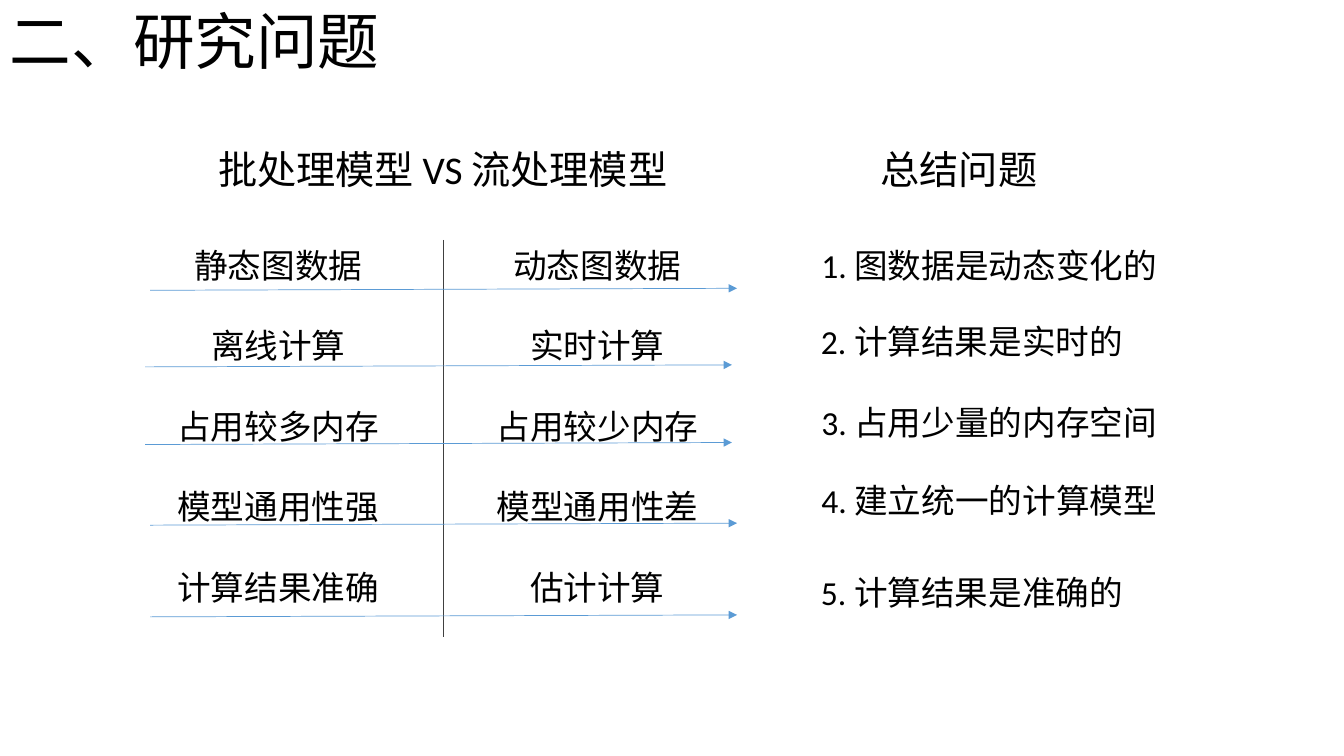
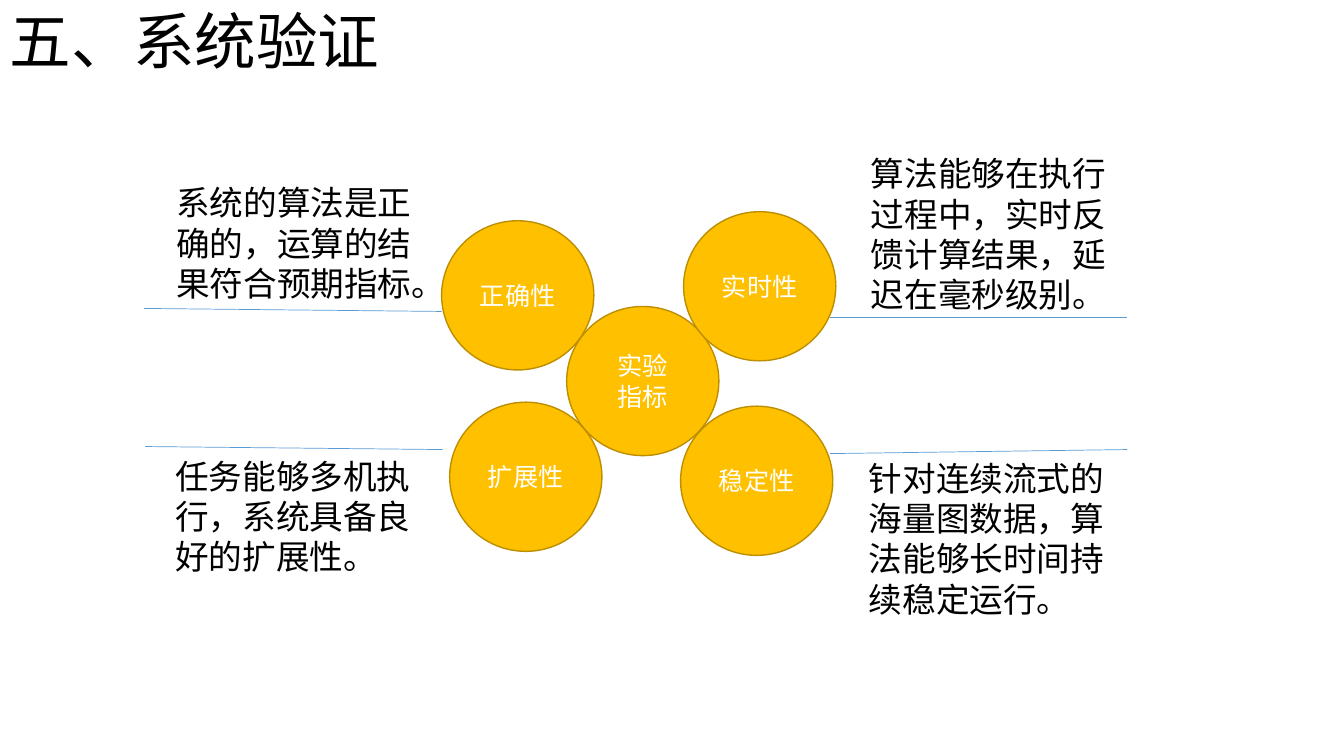
from lxml import etree
from pptx import Presentation
from pptx.dml.color import RGBColor
from pptx.enum.lang import MSO_LANGUAGE_ID
from pptx.enum.shapes import MSO_CONNECTOR, MSO_SHAPE
from pptx.enum.text import MSO_ANCHOR, PP_ALIGN
from pptx.oxml.ns import qn
from pptx.util import Inches, Pt

STRAIGHT = MSO_CONNECTOR.STRAIGHT
CIRCLE = MSO_SHAPE.FLOWCHART_CONNECTOR
CHINESE = MSO_LANGUAGE_ID.SIMPLIFIED_CHINESE
MIDDLE = MSO_ANCHOR.MIDDLE
LEFT, CENTER = PP_ALIGN.LEFT, PP_ALIGN.CENTER

BLACK = RGBColor(0x00, 0x00, 0x00)
WHITE = RGBColor(0xFF, 0xFF, 0xFF)
BLUE = RGBColor(0x5B, 0x9B, 0xD5)
GRAY = RGBColor(0x40, 0x40, 0x40)
GOLD = RGBColor(0xFF, 0xC0, 0x00)
DARK_GOLD = RGBColor(0xBD, 0x8E, 0x00)
FONT = "Calibri"
BODY_SIZE = 24


def write(shape, text, size, color=BLACK, align=LEFT):
    frame = shape.text_frame
    frame.word_wrap = True
    frame.text = text
    for paragraph in frame.paragraphs:
        paragraph.alignment = align
        for run in paragraph.runs:
            run.font.name = FONT
            run.font.size = Pt(size)
            run.font.color.rgb = color
            run.font.language_id = CHINESE
    return frame


def draw_line(slide, start, end, color=BLUE, arrow=False):
    points = [Inches(value) for value in (*start, *end)]
    connector = slide.shapes.add_connector(STRAIGHT, *points)
    connector.line.color.rgb = color
    connector.line.width = Pt(0.5)
    properties = connector.element.spPr
    if arrow:
        etree.SubElement(properties.find(qn("a:ln")), qn("a:tailEnd"), type="triangle")
    etree.SubElement(properties, qn("a:effectLst"))


deck = Presentation()
deck.slide_width = Inches(13.33)
deck.slide_height = Inches(7.5)
slides = []
for heading in ("二、研究问题", "五、系统验证"):
    slide = deck.slides.add_slide(deck.slide_layouts[6])
    title = slide.shapes.add_textbox(Inches(0), Inches(-0.03), Inches(11.5), Inches(0.95))
    title_frame = write(title, heading, 44)
    title_frame.vertical_anchor = MIDDLE
    title_frame.paragraphs[0].line_spacing = 0.9
    slides.append(slide)
questions, validation = slides

for left, heading in ((1.75, "批处理模型 VS 流处理模型"), (6.87, "总结问题")):
    box = questions.shapes.add_textbox(Inches(left), Inches(1.39), Inches(5.28), Inches(0.57))
    write(box, heading, 28, align=CENTER)

draw_line(questions, (4.4, 2.38), (4.4, 6.32), GRAY)

models = (
    (1.33, 2.86, ("静态图数据", "离线计算", "占用较多内存", "模型通用性强", "计算结果准确")),
    (4.53, 2.79, ("动态图数据", "实时计算", "占用较少内存", "模型通用性差", "估计计算")),
)
for left, width, traits in models:
    box = questions.shapes.add_textbox(Inches(left), Inches(2.38), Inches(width), Inches(3.74))
    frame = write(box, "\n".join(traits), BODY_SIZE, align=CENTER)
    for paragraph in frame.paragraphs[:-1]:
        paragraph.space_after = Pt(28.7)

for left, top in ((1.49, 2.88), (1.44, 3.64), (1.44, 4.41), (1.49, 5.21), (1.49, 6.12)):
    draw_line(questions, (left, top), (left + 5.82, top - 0.02), arrow=True)

problems = (
    (2.38, 3.56, "图数据是动态变化的"),
    (3.13, 3.22, "计算结果是实时的"),
    (3.94, 3.56, "占用少量的内存空间"),
    (4.71, 3.56, "建立统一的计算模型"),
    (5.62, 3.22, "计算结果是准确的"),
)
for number, (top, width, problem) in enumerate(problems, 1):
    box = questions.shapes.add_textbox(Inches(8.03), Inches(top), Inches(width), Inches(0.5))
    write(box, f"{number}. {problem}", BODY_SIZE, align=CENTER)

metrics = (
    (5.62, 3.04, "实验\n指标"),
    (6.78, 2.1, "实时性"),
    (6.75, 4.03, "稳定性"),
    (4.38, 2.19, "正确性"),
    (4.46, 3.99, "扩展性"),
)
for left, top, metric in metrics:
    circle = validation.shapes.add_shape(
        CIRCLE, Inches(left), Inches(top), Inches(1.51), Inches(1.48))
    circle.shadow.inherit = False
    circle.fill.solid()
    circle.fill.fore_color.rgb = GOLD
    circle.line.color.rgb = DARK_GOLD
    circle.line.width = Pt(1)
    write(circle, metric, 18, WHITE, CENTER).vertical_anchor = MIDDLE

explanations = (
    (1.65, 1.76, 1.31, "系统的算法是正确的，运算的结果符合预期指标。"),
    (8.54, 1.47, 1.72, "算法能够在执行过程中，实时反馈计算结果，延迟在毫秒级别。"),
    (8.52, 4.49, 1.72, "针对连续流式的海量图数据，算法能够长时间持续稳定运行。"),
    (1.64, 4.47, 1.31, "任务能够多机执行，系统具备良好的扩展性。"),
)
for left, top, height, explanation in explanations:
    box = validation.shapes.add_textbox(Inches(left), Inches(top), Inches(2.84), Inches(height))
    write(box, explanation, BODY_SIZE)

rules = (
    ((4.38, 3.09), (1.43, 3.06)),
    ((11.18, 3.15), (8.23, 3.15)),
    ((4.39, 4.46), (1.44, 4.43)),
    ((11.18, 4.46), (8.23, 4.5)),
)
for start, end in rules:
    draw_line(validation, start, end)

deck.save("out.pptx")
